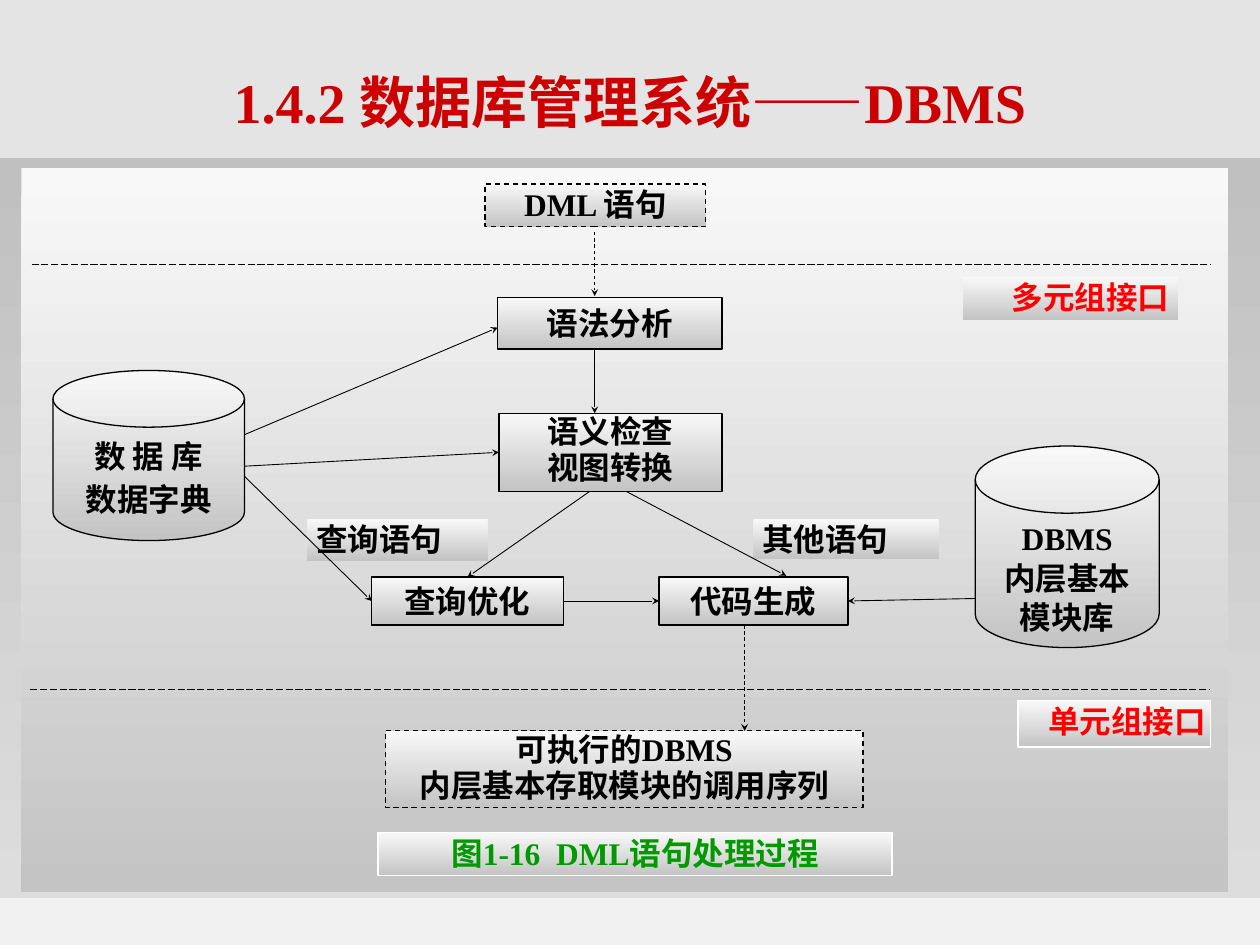
"""Build the slide on how a DBMS processes a DML statement."""
from dataclasses import dataclass
from typing import Optional

from lxml import etree
from pptx import Presentation
from pptx.dml.color import RGBColor
from pptx.enum.dml import MSO_LINE
from pptx.enum.shapes import MSO_CONNECTOR, MSO_SHAPE
from pptx.enum.text import MSO_ANCHOR, PP_ALIGN
from pptx.oxml.ns import qn
from pptx.util import Inches, Pt

RECT, DISK = MSO_SHAPE.RECTANGLE, MSO_SHAPE.FLOWCHART_MAGNETIC_DISK
STRAIGHT = MSO_CONNECTOR.STRAIGHT
DASH, LONG_DASH = MSO_LINE.DASH, MSO_LINE.LONG_DASH
CENTER, RIGHT, JUSTIFY = PP_ALIGN.CENTER, PP_ALIGN.RIGHT, PP_ALIGN.JUSTIFY
TOP, MIDDLE = MSO_ANCHOR.TOP, MSO_ANCHOR.MIDDLE
TOP_SITE, LEFT_SITE, BOTTOM_SITE, RIGHT_SITE = range(4)


@dataclass(frozen=True)
class Theme:
    font: str = "Times New Roman"
    title_size: float = 32
    body_size: float = 18
    outline: float = 0.75
    arrow: float = 0.5
    ink: str = "000000"
    white: str = "FFFFFF"
    title: str = "CC0000"
    interface: str = "FF0000"
    caption: str = "009900"
    page: tuple = ("E4E4E4", "F0F0F0")
    band: tuple = ("C0C0C0", "DDDDDD")
    panel: tuple = ("F8F8F8", "C4C4C4")


THEME = Theme()


@dataclass(frozen=True)
class Node:
    key: str
    at: tuple
    text: str = ""
    spacing: Optional[float] = None
    line: Optional[str] = THEME.ink
    dash: Optional[MSO_LINE] = None
    color: str = THEME.ink
    align: PP_ALIGN = CENTER
    shape: MSO_SHAPE = RECT
    fill: tuple = THEME.panel
    insets: tuple = (0.07, 0.01, 0.07, 0.01)


@dataclass(frozen=True)
class Link:
    start: tuple
    end: tuple
    source: Optional[tuple] = None
    target: Optional[tuple] = None
    dash: Optional[MSO_LINE] = None
    arrow: bool = True


DISK_INSETS = (0.07, 0.03, 0.07, 0.03)

NODES = [
    Node("band", (0, 1.25, 10, 5.88), line=None, fill=THEME.band),
    Node("panel", (0.17, 1.33, 9.58, 5.75), line=None),
    Node("other label", (5.98, 4.12, 1.47, 0.32), "其他语句", line=None, align=JUSTIFY),
    Node("query label", (2.44, 4.12, 1.43, 0.33), "查询语句", line=None, align=JUSTIFY),
    Node("statement", (3.85, 1.46, 1.75, 0.34), "DML 语句", 1.0, dash=DASH),
    Node("syntax", (3.95, 2.36, 1.78, 0.41), "语法分析", 1.15),
    Node("semantics", (3.96, 3.28, 1.77, 0.62), "语义检查\n视图转换", 0.96),
    Node("dictionary", (0.42, 2.94, 1.52, 1.35), "数 据 库\n数据字典", 1.15,
         shape=DISK, insets=DISK_INSETS),
    Node("library", (7.74, 3.54, 1.46, 1.6), "DBMS\n内层基本\n模块库", 1.05,
         shape=DISK, insets=DISK_INSETS),
    Node("single interface", (8.08, 5.56, 1.53, 0.37), "单元组接口", line=THEME.white,
         color=THEME.interface, align=RIGHT, insets=(0, 0.01, 0.04, 0.01)),
    Node("calls", (3.06, 5.8, 3.79, 0.61),
         "可执行的DBMS\n内层基本存取模块的调用序列", 0.96, dash=DASH),
    Node("multiple interface", (7.64, 2.2, 1.71, 0.34), "多元组接口", line=None,
         color=THEME.interface, align=RIGHT),
    Node("optimizer", (2.95, 4.58, 1.52, 0.38), "查询优化", 1.1),
    Node("generator", (5.23, 4.58, 1.5, 0.38), "代码生成", 1.1),
    Node("caption", (3, 6.61, 4.08, 0.34), "图1-16  DML语句处理过程",
         line=THEME.white, color=THEME.caption),
]

LINKS = [
    Link((0.25, 2.1), (9.61, 2.1), dash=LONG_DASH, arrow=False),
    Link((0.24, 5.47), (9.6, 5.47), dash=LONG_DASH, arrow=False),
    Link((4.72, 1.84), (4.72, 2.35), dash=DASH),
    Link((4.72, 2.77), (4.72, 3.28)),
    Link((1.94, 3.45), (3.95, 2.6)),
    Link((1.94, 3.7), (3.96, 3.59), target=("semantics", LEFT_SITE)),
    Link((1.94, 3.78), (2.95, 4.77), target=("optimizer", LEFT_SITE)),
    Link((4.68, 3.9), (3.71, 4.58), target=("optimizer", TOP_SITE)),
    Link((4.97, 3.9), (6.24, 4.57)),
    Link((4.47, 4.77), (5.23, 4.77), source=("optimizer", RIGHT_SITE),
         target=("generator", LEFT_SITE)),
    Link((7.74, 4.75), (6.73, 4.77), target=("generator", RIGHT_SITE)),
    Link((5.91, 4.96), (5.91, 5.8), dash=DASH),
]


def paint_gradient(fill, colors: tuple) -> None:
    fill.gradient()
    fill.gradient_angle = 270
    for stop, color, position in zip(fill.gradient_stops, colors, (0, 1)):
        stop.color.rgb = RGBColor.from_string(color)
        stop.position = position


def style_line(line, color: str, width: float, dash: Optional[MSO_LINE]) -> None:
    line.color.rgb = RGBColor.from_string(color)
    line.width = Pt(width)
    if dash is not None:
        line.dash_style = dash


def write_text(box, text: str, size: float, color: str, align: PP_ALIGN,
               anchor: MSO_ANCHOR, spacing: Optional[float], insets: tuple) -> None:
    frame = box.text_frame
    frame.word_wrap = True
    frame.vertical_anchor = anchor
    (frame.margin_left, frame.margin_top,
     frame.margin_right, frame.margin_bottom) = map(Inches, insets)
    frame.text = text
    for para in frame.paragraphs:
        para.alignment = align
        if spacing is not None:
            para.line_spacing = spacing
        for span in para.runs:
            span.font.name = THEME.font
            span.font.size = Pt(size)
            span.font.bold = True
            span.font.color.rgb = RGBColor.from_string(color)


def draw_node(page, node: Node):
    box = page.shapes.add_shape(node.shape, *map(Inches, node.at))
    box.shadow.inherit = False
    paint_gradient(box.fill, node.fill)
    if node.line is None:
        box.line.fill.background()
    else:
        style_line(box.line, node.line, THEME.outline, node.dash)
    if node.text:
        write_text(box, node.text, THEME.body_size, node.color, node.align,
                   TOP, node.spacing, node.insets)
    return box


def draw_link(page, link: Link, boxes: dict) -> None:
    connector = page.shapes.add_connector(STRAIGHT, *map(Inches, link.start + link.end))
    if link.source:
        key, site = link.source
        connector.begin_connect(boxes[key], site)
    if link.target:
        key, site = link.target
        connector.end_connect(boxes[key], site)
    style_line(connector.line, THEME.ink, THEME.arrow, link.dash)
    properties = connector._element.spPr
    if link.arrow:
        etree.SubElement(properties.find(qn("a:ln")), qn("a:tailEnd"),
                         type="stealth", w="sm", len="sm")
    etree.SubElement(properties, qn("a:effectLst"))


def main() -> None:
    deck = Presentation()
    deck.slide_width, deck.slide_height = Inches(10), Inches(7.5)
    page = deck.slides.add_slide(deck.slide_layouts[6])
    paint_gradient(page.background.fill, THEME.page)
    title = page.shapes.add_textbox(*map(Inches, (0.75, 0.47, 8.5, 0.67)))
    write_text(title, "1.4.2 数据库管理系统——DBMS", THEME.title_size, THEME.title,
               CENTER, MIDDLE, None, (0.1, 0.05, 0.1, 0.05))
    boxes = {node.key: draw_node(page, node) for node in NODES}
    for link in LINKS:
        draw_link(page, link, boxes)
    deck.save("out.pptx")


if __name__ == "__main__":
    main()
